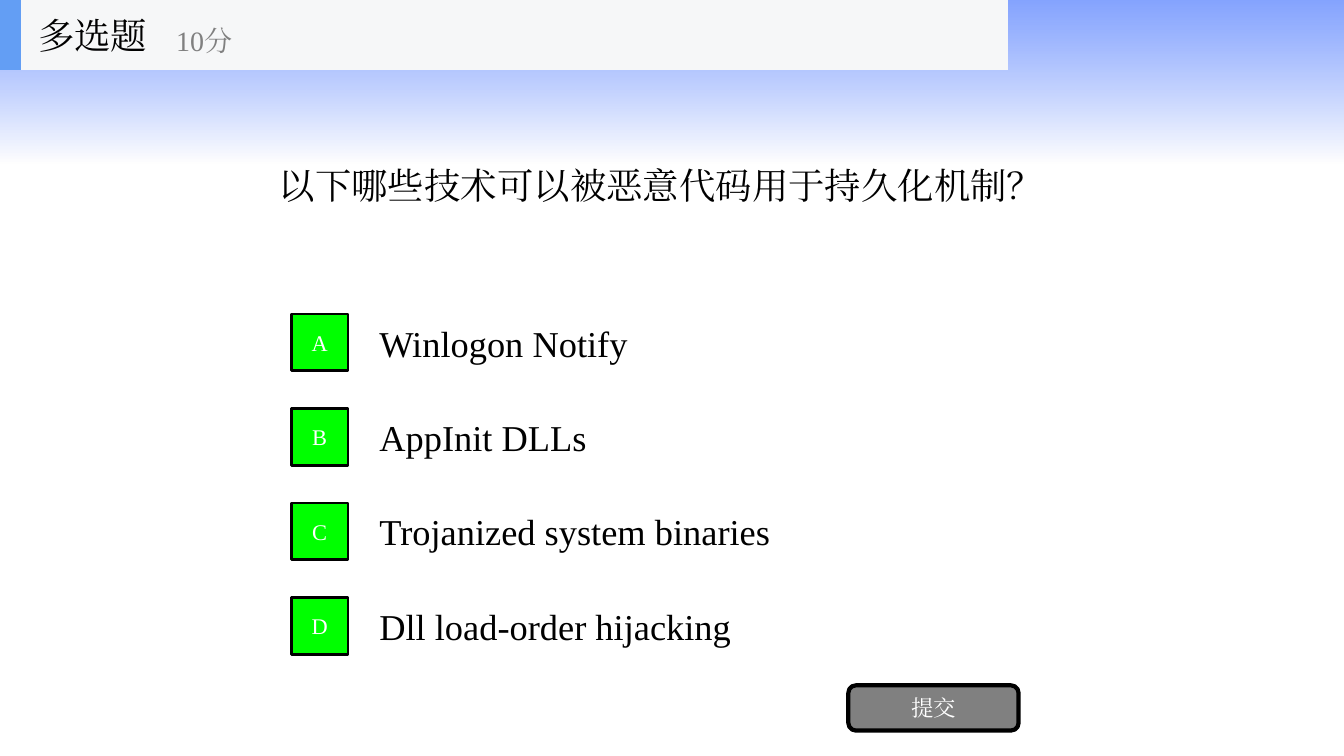
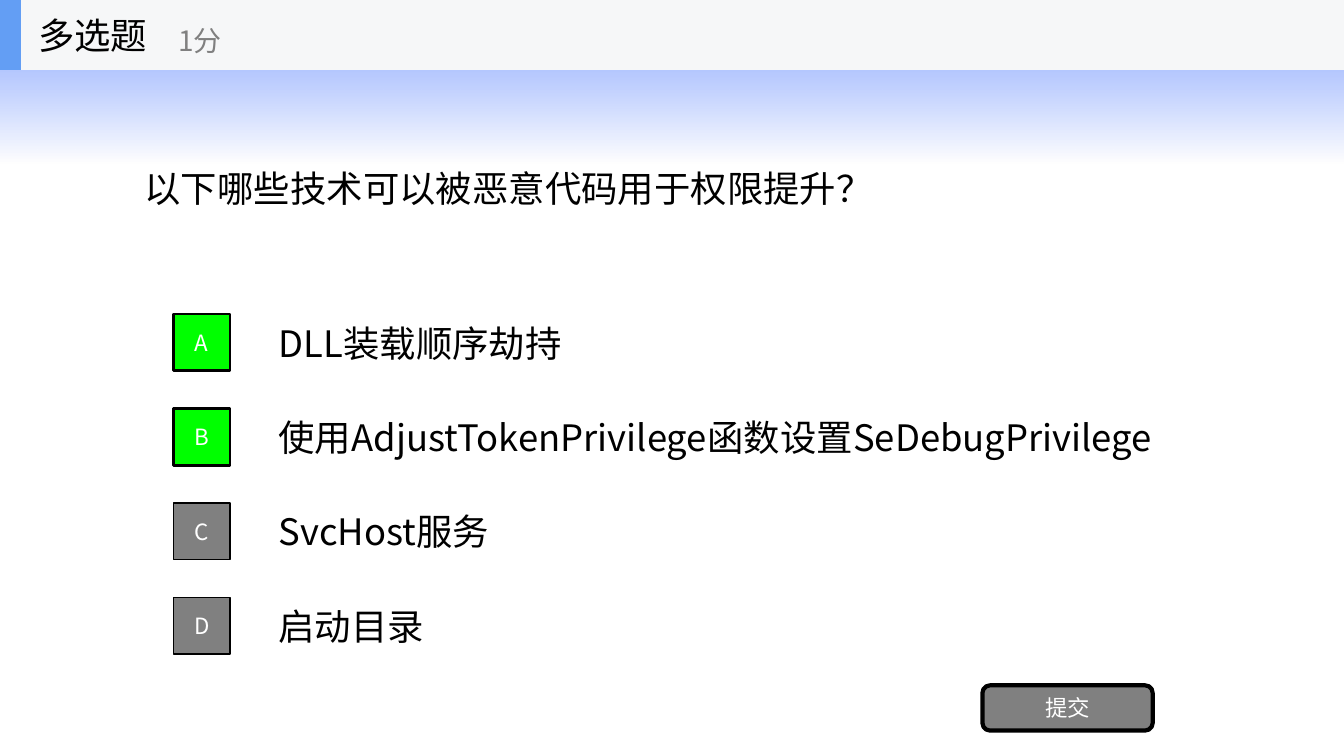
from typing import NamedTuple

from lxml.etree import SubElement
from pptx import Presentation
from pptx.dml.color import RGBColor
from pptx.enum.shapes import MSO_SHAPE
from pptx.enum.text import MSO_ANCHOR, MSO_AUTO_SIZE, PP_ALIGN
from pptx.oxml.ns import qn
from pptx.util import Cm, Pt

BLACK = RGBColor(0x00, 0x00, 0x00)
WHITE = RGBColor(0xFF, 0xFF, 0xFF)
GRAY = RGBColor(0x80, 0x80, 0x80)
GREEN = RGBColor(0x00, 0xFF, 0x00)
BAND_BLUE = RGBColor(0x33, 0x66, 0xFF)
BAR_GRAY = RGBColor(0xF6, 0xF7, 0xF8)
BAR_BLUE = RGBColor(0x63, 0x9E, 0xF4)

SLIDE_W, SLIDE_H = 33.87, 19.05
BAND_H = 4.11
BAR_H = 1.76
QUESTION_H = 5.94
OPTION_TOP, OPTION_PITCH, OPTION_H = 7.74, 2.38, 1.78
BADGE = 1.43
SUBMIT_TOP, SUBMIT_W, SUBMIT_H = 17.27, 4.29, 1.14


class Quiz(NamedTuple):
    font: str
    score: str
    score_left: float
    bar_width: float
    question: str
    question_top: float
    margin: float
    badge_left: float
    option_left: float
    options: list
    correct: str


QUIZZES = [
    Quiz("Times New Roman", "10分", 4.19, 25.4,
         "以下哪些技术可以被恶意代码用于持久化机制？", 1.68, 6.77, 7.34, 9.31,
         ["Winlogon Notify", "AppInit DLLs", "Trojanized system binaries",
          "Dll load-order hijacking"], "ABCD"),
    Quiz("Noto Sans CJK SC", "1分", 4.24, SLIDE_W,
         "以下哪些技术可以被恶意代码用于权限提升？", 1.76, 3.39, 4.37, 6.77,
         ["DLL装载顺序劫持",
          "使用AdjustTokenPrivilege函数设置SeDebugPrivilege",
          "SvcHost服务", "启动目录"], "AB"),
]


def write(sp, text, font, size, color, align=PP_ALIGN.LEFT):
    tf = sp.text_frame
    tf.word_wrap = True
    tf.auto_size = MSO_AUTO_SIZE.NONE
    tf.vertical_anchor = MSO_ANCHOR.MIDDLE
    p = tf.paragraphs[0]
    p.text = text
    p.alignment = align
    p.font.size = Pt(size)
    p.font.color.rgb = color
    p.font.name = font
    SubElement(p._p.pPr.find(qn("a:defRPr")), qn("a:ea"), typeface=font)


def add_label(shapes, box, text, font, size=26, color=BLACK):
    write(shapes.add_textbox(*map(Cm, box)), text, font, size, color)


def add_box(shapes, box, fill, line_width=0, kind=MSO_SHAPE.RECTANGLE):
    sp = shapes.add_shape(kind, *map(Cm, box))
    sp.shadow.inherit = False
    sp.fill.solid()
    sp.fill.fore_color.rgb = fill
    if line_width:
        sp.line.color.rgb = BLACK
        sp.line.width = Pt(line_width)
    else:
        sp.line.fill.background()
    return sp


def add_master_band(prs, s):
    sp = add_box(s.shapes, (0, 0, SLIDE_W, BAND_H), WHITE)
    sp.fill.gradient()
    sp.fill.gradient_angle = 270
    stops = zip(sp.fill.gradient_stops, (BAND_BLUE, WHITE), ("60000", "70000"))
    for stop, color, alpha in stops:
        stop.color.rgb = color
        SubElement(stop._gs.find(qn("a:srgbClr")), qn("a:alpha"), val=alpha)
    prs.slide_master.shapes._spTree.insert(2, sp._element)


def add_question(s, quiz):
    sp = s.shapes.title
    sp.left, sp.top = Cm(quiz.margin), Cm(quiz.question_top)
    sp.width, sp.height = Cm(SLIDE_W - 2 * quiz.margin), Cm(QUESTION_H)
    write(sp, quiz.question, quiz.font, 26, BLACK)


def add_options(s, quiz):
    right = SLIDE_W - quiz.margin
    for i, (letter, text) in enumerate(zip("ABCD", quiz.options)):
        top = OPTION_TOP + i * OPTION_PITCH
        add_label(s.shapes, (quiz.option_left, top, right - quiz.option_left, OPTION_H),
                  text, quiz.font)
        fill, line_width = (GREEN, 2) if letter in quiz.correct else (GRAY, 1)
        badge_top = top + (OPTION_H - BADGE) / 2
        sp = add_box(s.shapes, (quiz.badge_left, badge_top, BADGE, BADGE), fill, line_width)
        write(sp, letter, quiz.font, 16, WHITE, PP_ALIGN.CENTER)


def add_submit(s, quiz):
    left = SLIDE_W - quiz.margin - BADGE - SUBMIT_W
    sp = add_box(s.shapes, (left, SUBMIT_TOP, SUBMIT_W, SUBMIT_H), GRAY, 3,
                 MSO_SHAPE.ROUNDED_RECTANGLE)
    write(sp, "提交", quiz.font, 16, WHITE, PP_ALIGN.CENTER)


def add_header(s, quiz):
    shapes = s.shapes.add_group_shape().shapes
    add_box(shapes, (0, 0, quiz.bar_width, BAR_H), BAR_GRAY)
    add_box(shapes, (0, 0, 0.53, BAR_H), BAR_BLUE)
    add_label(shapes, (0.71, 0, 5.28, BAR_H), "多选题", quiz.font)
    add_label(shapes, (quiz.score_left, 0.3, 6.35, 1.43), quiz.score, quiz.font, 20, GRAY)


def main():
    prs = Presentation()
    prs.slide_width, prs.slide_height = Cm(SLIDE_W), Cm(SLIDE_H)
    for i, quiz in enumerate(QUIZZES):
        s = prs.slides.add_slide(prs.slide_layouts[5])
        if i == 0:
            add_master_band(prs, s)
        add_question(s, quiz)
        add_options(s, quiz)
        add_submit(s, quiz)
        add_header(s, quiz)
    prs.save("out.pptx")


if __name__ == "__main__":
    main()
